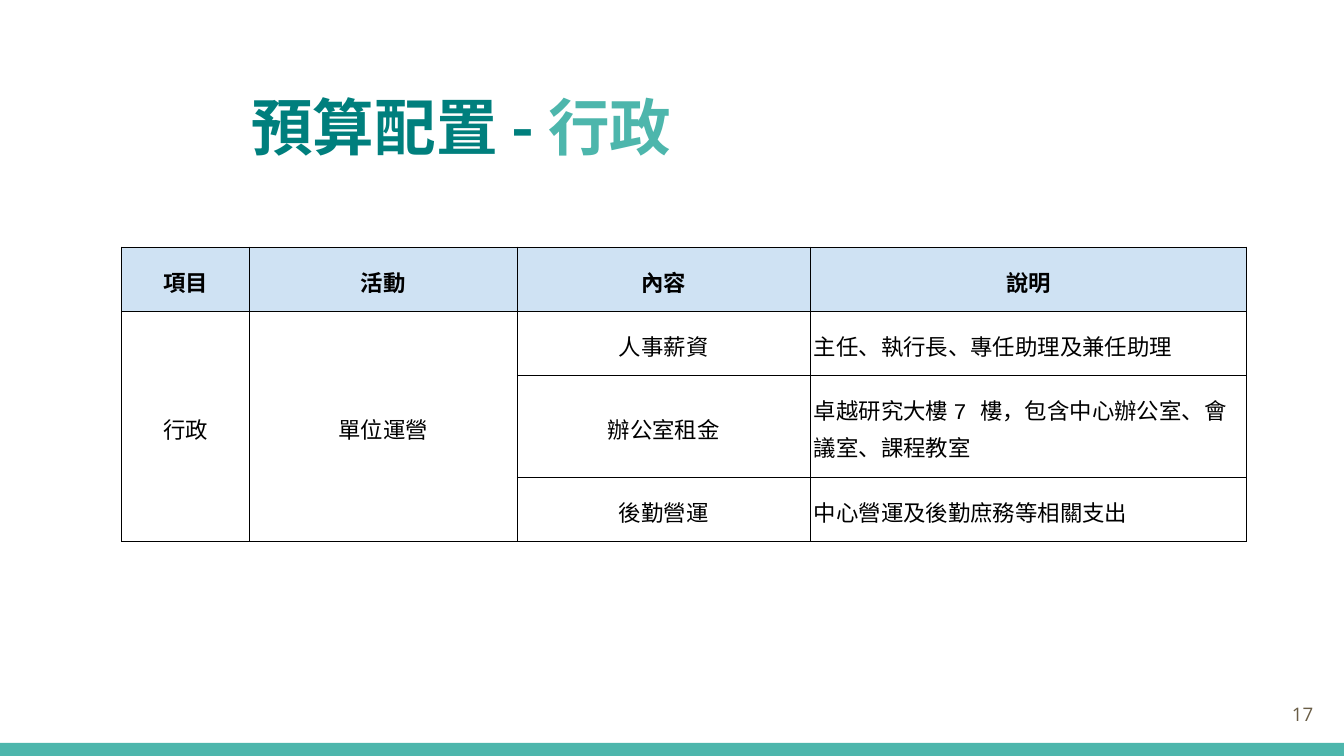
from lxml import etree
from pptx import Presentation
from pptx.dml.color import RGBColor
from pptx.enum.shapes import MSO_SHAPE
from pptx.enum.text import MSO_ANCHOR, PP_ALIGN
from pptx.oxml.ns import qn
from pptx.util import Pt

RECTANGLE = MSO_SHAPE.RECTANGLE
MIDDLE = MSO_ANCHOR.MIDDLE
LEFT, CENTER, RIGHT = PP_ALIGN.LEFT, PP_ALIGN.CENTER, PP_ALIGN.RIGHT

COLORS = {
    "teal": "007F7D",
    "mint": "4DB6AC",
    "header": "CFE2F3",
    "ink": "000000",
    "brown": "695D46",
}
CJK_FONT = "Noto Sans CJK SC"
TABLE_FONT = "Courier New"
NUMBER_FONT = "Open Sans"

SLIDE_SIZE = (720, 405)
COLUMN_WIDTHS = (68.4, 143.5, 157, 233.8)
ROW_HEIGHTS = (34.3, 34.3, 54.6, 34.3)
BUDGET_ROWS = (
    ("項目", "活動", "內容", "說明"),
    ("行政", "單位運營", "人事薪資", "主任、執行長、專任助理及兼任助理"),
    ("", "", "辦公室租金", "卓越研究大樓 7 樓，包含中心辦公室、會議室、課程教室"),
    ("", "", "後勤營運", "中心營運及後勤庶務等相關支出"),
)


def rgb(name):
    """Return the named colour."""
    return RGBColor.from_string(COLORS[name])


def write(paragraph, text, *, size, font, color="ink", bold=False, align=LEFT, spacing=None):
    """Append a formatted run to a paragraph."""
    paragraph.alignment = align
    if spacing:
        paragraph.line_spacing = spacing
    run = paragraph.add_run()
    run.text = text
    run.font.size = Pt(size)
    run.font.bold = bold
    run.font.name = font
    run.font.color.rgb = rgb(color)
    east_asian = etree.SubElement(run.font._element, qn("a:ea"))
    east_asian.set("typeface", CJK_FONT)


def add_paragraph_box(slide, box):
    """Add a wrapped, vertically centred text box and return its paragraph."""
    frame = slide.shapes.add_textbox(*map(Pt, box)).text_frame
    frame.word_wrap = True
    frame.vertical_anchor = MIDDLE
    frame.margin_left = frame.margin_right = Pt(7.2)
    frame.margin_top = frame.margin_bottom = Pt(7.2)
    return frame.paragraphs[0]


def add_title(slide, box):
    """Place the two-coloured title."""
    title = add_paragraph_box(slide, box)
    for text, color in (("預算配置 - ", "teal"), ("行政", "mint")):
        write(title, text, size=33, font=CJK_FONT, color=color, bold=True)


def set_borders(cell):
    """Draw a thin line on all four sides of a cell."""
    properties = cell._tc.get_or_add_tcPr()
    for position, side in enumerate(("lnL", "lnR", "lnT", "lnB")):
        line = etree.Element(qn(f"a:{side}"), w=str(Pt(0.42)))
        fill = etree.SubElement(line, qn("a:solidFill"))
        etree.SubElement(fill, qn("a:srgbClr"), val=COLORS["ink"])
        properties.insert(position, line)


def fill_cell(cell, text, is_header, align):
    """Format one budget cell and write its text."""
    cell.vertical_anchor = MIDDLE
    cell.margin_left = cell.margin_right = Pt(2)
    cell.margin_top = cell.margin_bottom = Pt(7.2)
    if is_header:
        cell.fill.solid()
        cell.fill.fore_color.rgb = rgb("header")
    else:
        cell.fill.background()
    set_borders(cell)
    if text:
        write(cell.text_frame.paragraphs[0], text, size=12, font=TABLE_FONT,
              bold=is_header, align=align, spacing=1.15)


def add_budget_table(slide, left, top):
    """Place the budget table with its merged item and activity cells."""
    box = (left, top, sum(COLUMN_WIDTHS), sum(ROW_HEIGHTS))
    budget = slide.shapes.add_table(
        len(ROW_HEIGHTS), len(COLUMN_WIDTHS), *map(Pt, box)).table
    for column, width in zip(budget.columns, COLUMN_WIDTHS):
        column.width = Pt(width)
    for row, height in zip(budget.rows, ROW_HEIGHTS):
        row.height = Pt(height)
    for column in (0, 1):
        budget.cell(1, column).merge(budget.cell(3, column))
    for r, texts in enumerate(BUDGET_ROWS):
        for c, text in enumerate(texts):
            align = LEFT if r > 0 and c == 3 else CENTER
            fill_cell(budget.cell(r, c), text, r == 0, align)


def add_footer(slide, bar_box, number_box):
    """Place the bottom bar and the page number."""
    bar = slide.shapes.add_shape(RECTANGLE, *map(Pt, bar_box))
    bar.shadow.inherit = False
    bar.fill.solid()
    bar.fill.fore_color.rgb = rgb("mint")
    bar.line.fill.background()
    write(add_paragraph_box(slide, number_box), "17", size=10,
          font=NUMBER_FONT, color="brown", align=RIGHT)


def main():
    """Build and save the budget slide."""
    presentation = Presentation()
    presentation.slide_width, presentation.slide_height = map(Pt, SLIDE_SIZE)
    slide = presentation.slides.add_slide(presentation.slide_layouts[6])
    add_footer(slide, (0, 398, 720, 7), (667.4, 367.2, 43.2, 31))
    add_title(slide, (127.5, 39.6, 567.4, 55.4))
    add_budget_table(slide, 65.2, 132.3)
    presentation.save("out.pptx")


if __name__ == "__main__":
    main()
